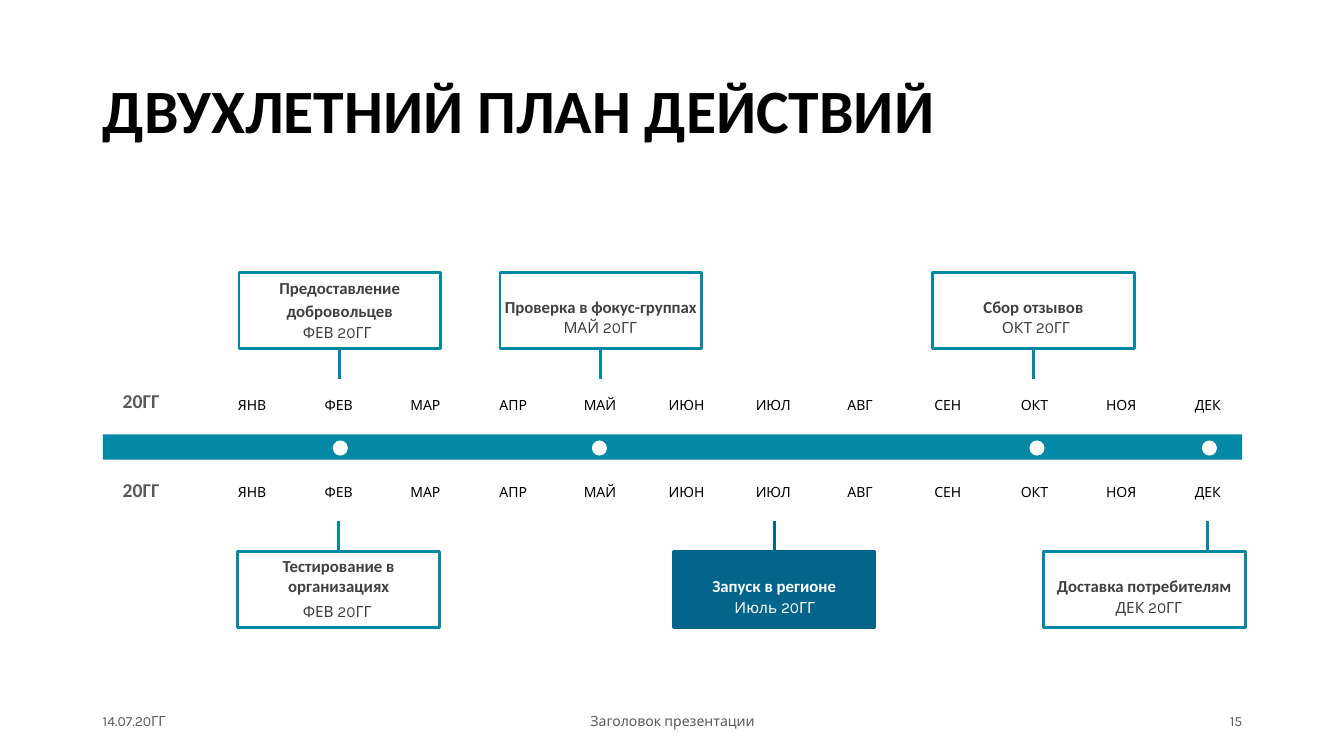
from dataclasses import dataclass

from lxml import etree
from pptx import Presentation
from pptx.dml.color import RGBColor
from pptx.enum.shapes import MSO_CONNECTOR, MSO_SHAPE
from pptx.enum.text import MSO_ANCHOR, PP_ALIGN
from pptx.oxml.ns import qn
from pptx.util import Emu, Pt

RECT, OVAL = MSO_SHAPE.RECTANGLE, MSO_SHAPE.OVAL
STRAIGHT = MSO_CONNECTOR.STRAIGHT
LEFT, CENTER, RIGHT = PP_ALIGN.LEFT, PP_ALIGN.CENTER, PP_ALIGN.RIGHT
TOP, MIDDLE = MSO_ANCHOR.TOP, MSO_ANCHOR.MIDDLE
TOP_SIDE, BOTTOM_SIDE = 0, 2
EMU_PER_PX = 9144  # 100 px to the inch


@dataclass(frozen=True)
class Theme:
    teal: str = "0388A6"
    navy: str = "03658C"
    white: str = "FFFFFF"
    black: str = "000000"
    dark: str = "404040"
    grey: str = "595959"
    heading: str = "Calibri"
    body: str = "Karla"
    title_size: int = 44
    year_size: int = 14
    event_size: int = 12
    date_size: int = 11
    small_size: int = 10
    line_width: int = 2


def px(length):
    return Emu(length * EMU_PER_PX)


def rgb(colour):
    return RGBColor.from_string(colour)


def write(frame, text, *, size, color, font, bold=False, align=CENTER,
          anchor=TOP, spacing=0.9, insets=(10, 5, 10, 5)):
    frame.word_wrap = True
    frame.vertical_anchor = anchor
    (frame.margin_left, frame.margin_top,
     frame.margin_right, frame.margin_bottom) = map(px, insets)
    paragraph = frame.paragraphs[0]
    paragraph.alignment = align
    paragraph.line_spacing = spacing
    run = paragraph.add_run()
    run.text = text
    run.font.size, run.font.name, run.font.bold = Pt(size), font, bold
    run.font.color.rgb = rgb(color)


class TimelineSlide:
    def __init__(self, slide, theme):
        self.shapes = slide.shapes
        self.theme = theme

    def text(self, box, words, **text_format):
        label = self.shapes.add_textbox(*map(px, box))
        write(label.text_frame, words, **text_format)

    def shape(self, kind, box, fill=None, line=None):
        item = self.shapes.add_shape(kind, *map(px, box))
        item.shadow.inherit = False
        if fill:
            item.fill.solid()
            item.fill.fore_color.rgb = rgb(fill)
        else:
            item.fill.background()
        if line:
            item.line.color.rgb = rgb(line)
            item.line.width = Pt(self.theme.line_width)
        else:
            item.line.fill.background()
        return item

    def stem(self, x, top, bottom, color):
        line = self.shapes.add_connector(
            STRAIGHT, px(x), px(top), px(x), px(bottom))
        line.line.color.rgb = rgb(color)
        line.line.width = Pt(self.theme.line_width)
        etree.SubElement(line._element.spPr, qn("a:effectLst"))
        return line

    def months(self, top):
        theme = self.theme
        for i, month in enumerate(MONTHS):
            self.text((round(215 + i * MONTH_STEP), top, 70, 22), month,
                      size=theme.small_size, color=theme.black, font=theme.body)

    def year(self, top):
        theme = self.theme
        self.text((100, top, 80, 50), "20ГГ", size=theme.year_size,
                  color=theme.grey, font=theme.heading, bold=True, anchor=MIDDLE)

    def event(self, name, date, left, top, date_offset, spacing=2.0,
              stem_x=None, filled=False):
        """Draw a framed event with its date and a stem towards the bar."""
        theme = self.theme
        line = theme.navy if filled else theme.teal
        ink = theme.white if filled else theme.dark
        frame = self.shape(RECT, (left, top, EVENT_W, EVENT_H),
                           fill=line if filled else None, line=line)
        write(frame.text_frame, name, size=theme.event_size, color=ink,
              font=theme.heading, bold=True, spacing=spacing, insets=(0, 4, 0, 0))
        dx, dy = date_offset
        self.text((left + dx, top + dy, 185, 25), date, size=theme.date_size,
                  color=ink, font=theme.body, insets=(0, 0, 0, 0))
        x = stem_x or left + EVENT_W // 2
        if top == UPPER_TOP:
            bottom = top + EVENT_H
            stem = self.stem(x, bottom, bottom + STEM_H, line)
            stem.begin_connect(frame, BOTTOM_SIDE)
        else:
            stem = self.stem(x, top - STEM_H, top, line)
            if stem_x is None:
                stem.end_connect(frame, TOP_SIDE)

    def footer(self, left, width, words, align):
        theme = self.theme
        self.text((left, 695, width, 40), words, size=theme.small_size,
                  color=theme.grey, font=theme.body, align=align,
                  anchor=MIDDLE, spacing=1.0)


MONTHS = "ЯНВ ФЕВ МАР АПР МАЙ ИЮН ИЮЛ АВГ СЕН ОКТ НОЯ ДЕК".split()
MONTH_STEP = 86.2
EVENT_W, EVENT_H, STEM_H = 200, 76, 30
UPPER_TOP, LOWER_TOP = 270, 547
MILESTONE_LEFTS = (330, 587, 1021, 1192)
EVENTS = (
    dict(name="Предоставление добровольцев", date="ФЕВ 20ГГ", left=237,
         top=UPPER_TOP, date_offset=(5, 53), spacing=1.1),
    dict(name="Проверка в фокус-группах", date="МАЙ 20ГГ", left=496,
         top=UPPER_TOP, date_offset=(7, 48)),
    dict(name="Сбор отзывов", date="ОКТ 20ГГ", left=925,
         top=UPPER_TOP, date_offset=(10, 48)),
    dict(name="Тестирование в организациях", date="ФЕВ 20ГГ", left=236,
         top=LOWER_TOP, date_offset=(6, 52), spacing=1.0),
    dict(name="Запуск в регионе", date="Июль 20ГГ", left=668,
         top=LOWER_TOP, date_offset=(8, 48), filled=True),
    dict(name="Доставка потребителям", date="ДЕК 20ГГ", left=1035,
         top=LOWER_TOP, date_offset=(12, 48), stem_x=1198),
)


def main():
    theme = Theme()
    deck = Presentation()
    deck.slide_width, deck.slide_height = px(1333), px(750)
    plan = TimelineSlide(deck.slides.add_slide(deck.slide_layouts[6]), theme)

    plan.shape(RECT, (102, 431, 1130, 25), fill=theme.teal)
    plan.text((92, 40, 1150, 145), "ДВУХЛЕТНИЙ ПЛАН ДЕЙСТВИЙ",
              size=theme.title_size, color=theme.black, font=theme.heading,
              bold=True, align=LEFT, anchor=MIDDLE)
    for year_top, months_top in ((374, 390), (462, 477)):
        plan.year(year_top)
        plan.months(months_top)
    for left in MILESTONE_LEFTS:
        plan.shape(OVAL, (left, 437, 15, 15), fill=theme.white)
    for event in EVENTS:
        plan.event(**event)
    plan.footer(92, 300, "14.07.20ГГ", LEFT)
    plan.footer(442, 450, "Заголовок презентации", CENTER)
    plan.footer(942, 300, "15", RIGHT)
    deck.save("out.pptx")


if __name__ == "__main__":
    main()
